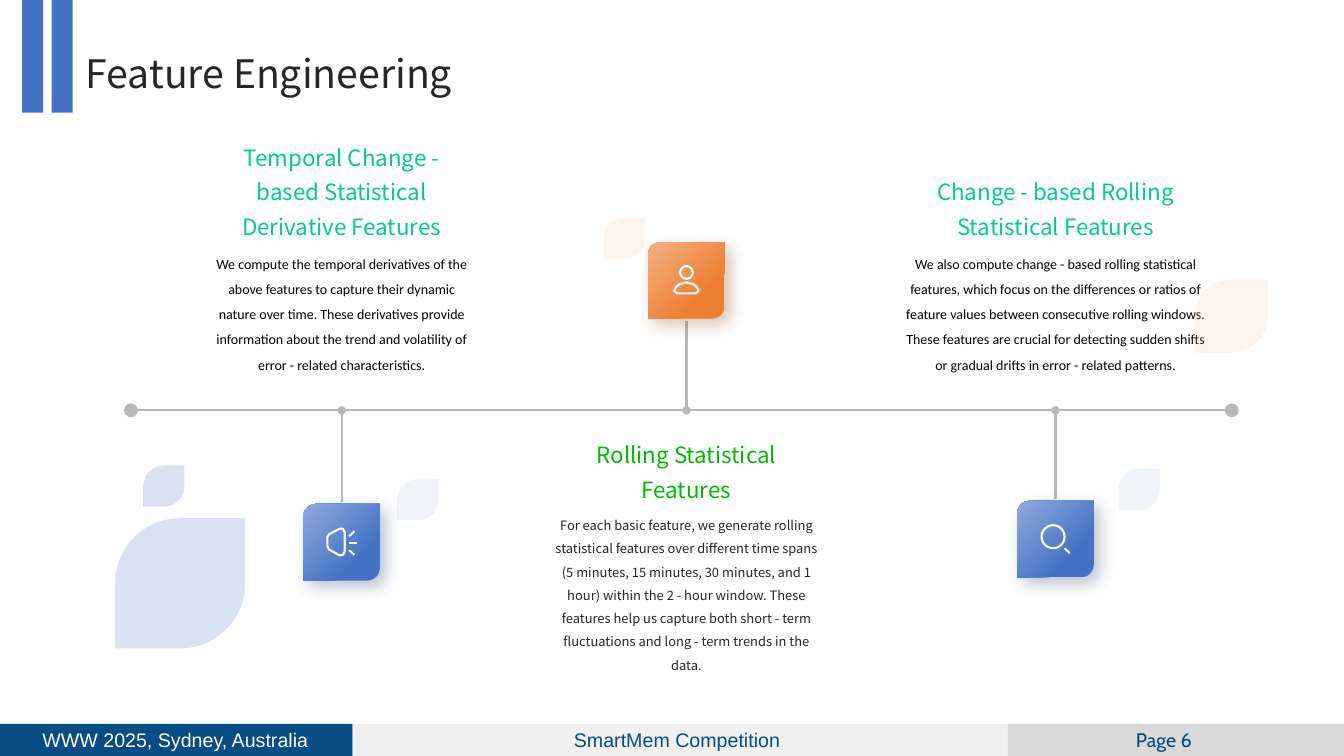
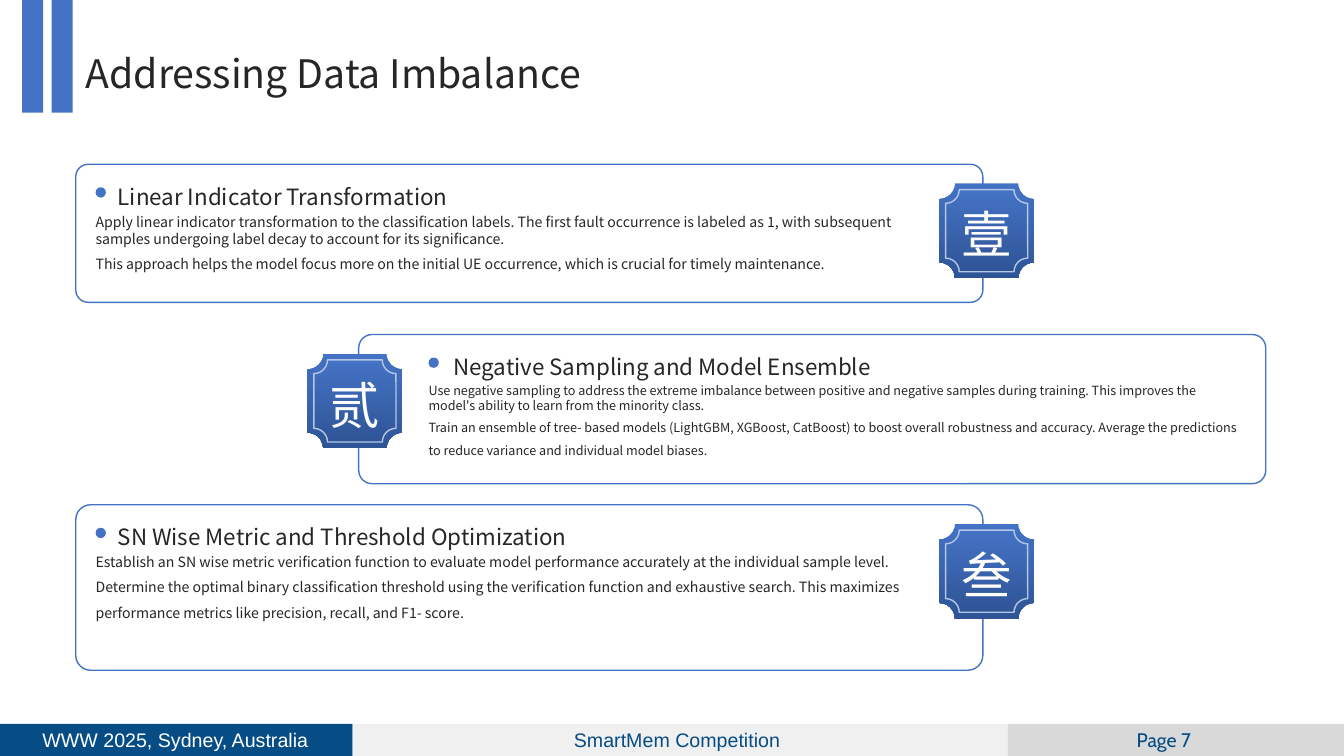
"""Build two slides on feature engineering and data imbalance."""
from dataclasses import dataclass
from typing import Optional, Union

from lxml import etree
from pptx import Presentation
from pptx.dml.color import RGBColor
from pptx.enum.shapes import MSO_CONNECTOR, MSO_SHAPE
from pptx.enum.text import MSO_ANCHOR, MSO_AUTO_SIZE, PP_ALIGN
from pptx.oxml.ns import qn
from pptx.slide import Slide
from pptx.util import Cm, Length, Pt

RECTANGLE, ROUNDED = MSO_SHAPE.RECTANGLE, MSO_SHAPE.ROUNDED_RECTANGLE
LEAF, PLAQUE, OVAL = MSO_SHAPE.ROUND_2_DIAG_RECTANGLE, MSO_SHAPE.PLAQUE, MSO_SHAPE.OVAL
STRAIGHT = MSO_CONNECTOR.STRAIGHT
TOP, MIDDLE, BOTTOM = MSO_ANCHOR.TOP, MSO_ANCHOR.MIDDLE, MSO_ANCHOR.BOTTOM
LEFT, CENTER = PP_ALIGN.LEFT, PP_ALIGN.CENTER
TITLE_ONLY = 5
Point = tuple[float, float]
Spacing = Union[float, Length]


@dataclass(frozen=True)
class Theme:
    """Colours, fonts and type sizes."""
    white: RGBColor = RGBColor(0xFF, 0xFF, 0xFF)
    black: RGBColor = RGBColor(0, 0, 0)
    ink: RGBColor = RGBColor(0x26, 0x26, 0x26)
    navy: RGBColor = RGBColor(0x06, 0x4C, 0x85)
    blue: RGBColor = RGBColor(0x44, 0x72, 0xC4)
    dark_blue: RGBColor = RGBColor(0x2F, 0x55, 0x97)
    soft_blue: RGBColor = RGBColor(0x8F, 0xAA, 0xDC)
    pale_blue: RGBColor = RGBColor(0xB4, 0xC7, 0xE7)
    blue_shadow: RGBColor = RGBColor(0x20, 0x38, 0x64)
    orange: RGBColor = RGBColor(0xED, 0x7D, 0x31)
    soft_orange: RGBColor = RGBColor(0xF4, 0xB1, 0x83)
    pale_orange: RGBColor = RGBColor(0xF8, 0xCB, 0xAD)
    orange_shadow: RGBColor = RGBColor(0x84, 0x3C, 0x0B)
    teal: RGBColor = RGBColor(0x04, 0xC9, 0x91)
    green: RGBColor = RGBColor(0, 0xBA, 0)
    line_gray: RGBColor = RGBColor(0xB8, 0xB8, 0xB8)
    light_gray: RGBColor = RGBColor(0xF0, 0xF0, 0xF0)
    mid_gray: RGBColor = RGBColor(0xD9, 0xD9, 0xD9)
    main_font: str = "Noto Sans CJK SC"
    body_font: str = "Calibri"
    footer_font: str = "Arial"
    page_font: str = "Cabin"
    title_size: float = 28
    heading_size: float = 16
    numeral_size: float = 36
    footer_size: float = 14


THEME = Theme()


@dataclass(frozen=True)
class Style:
    """Look of a text; spacings go paragraph by paragraph."""
    size: float
    color: RGBColor
    font: str = THEME.main_font
    align: PP_ALIGN = LEFT
    spacings: tuple[Spacing, ...] = (1.1,)


@dataclass(frozen=True)
class Band:
    """A footer band and the place of its text."""
    left: float
    width: float
    fill: RGBColor
    text: str
    text_left: float
    text_width: float
    style: Style


@dataclass(frozen=True)
class Icon:
    """Outline icon around a tile centre."""
    outline: tuple[Point, ...] = ()
    strokes: tuple[tuple[Point, Point], ...] = ()
    circle: Optional[tuple[float, float, float]] = None


@dataclass(frozen=True)
class Feature:
    """A timeline stop with tile, heading and body."""
    center: float
    tile_top: float
    text_top: float
    body_width: float
    heading: str
    body: str
    heading_color: RGBColor
    body_style: Style
    tile_colors: tuple[RGBColor, RGBColor, RGBColor]
    icon: Icon


@dataclass(frozen=True)
class Leaf:
    """A translucent decorative leaf."""
    left: float
    top: float
    size: float
    color: RGBColor
    opacity: int


@dataclass(frozen=True)
class Card:
    """A framed strategy with a numeral badge."""
    left: float
    height: float
    badge_left: float
    text_left: float
    title_indent: float
    numeral: str
    title: str
    body: tuple[str, str]
    size: float
    spacings: tuple[Spacing, Spacing]


FOOTER = Style(THEME.footer_size, THEME.navy, THEME.footer_font, CENTER, (1.0,))
FOOTER_LIGHT = Style(THEME.footer_size, THEME.white, THEME.footer_font, CENTER, (1.0,))
PAGE = Style(THEME.footer_size, THEME.navy, THEME.page_font, CENTER, (1.0,))
TITLE = Style(THEME.title_size, THEME.ink)
CARD_TITLE = Style(THEME.heading_size, THEME.ink)
NUMERAL = Style(THEME.numeral_size, THEME.white, THEME.body_font, CENTER)
OUTER_BODY = Style(10, THEME.black, THEME.body_font, CENTER, (1.5,))
INNER_BODY = Style(9.2, THEME.ink, align=CENTER, spacings=(Pt(16.6),))
BLUE_TILE = (THEME.soft_blue, THEME.blue, THEME.blue_shadow)
ORANGE_TILE = (THEME.soft_orange, THEME.orange, THEME.orange_shadow)

BANDS = (
    Band(0, 8.89, THEME.navy, "WWW 2025, Sydney, Australia", 0.61, 7.62, FOOTER_LIGHT),
    Band(8.89, 16.51, THEME.light_gray, "SmartMem Competition", 8.81, 16.51, FOOTER),
    Band(25.4, 8.47, THEME.mid_gray, "Page {page}", 25.52, 7.62, PAGE),
)
SPEAKER = Icon(
    outline=((-0.36, -0.13), (-0.32, -0.2), (-0.05, -0.34), (0.03, -0.34), (0.08, -0.25),
             (0.08, 0.23), (0.03, 0.32), (-0.05, 0.33), (-0.32, 0.18), (-0.36, 0.1)),
    strokes=(((0.19, -0.15), (0.32, -0.28)), ((0.19, 0.03), (0.38, 0.03)),
             ((0.19, 0.2), (0.32, 0.32))))
PERSON = Icon(
    outline=((-0.23, 0.33), (-0.31, 0.27), (-0.27, 0.18), (-0.18, 0.1), (0, 0.05),
             (0.18, 0.1), (0.27, 0.18), (0.31, 0.27), (0.23, 0.33)),
    circle=(0, -0.2, 0.16))
MAGNIFIER = Icon(strokes=(((0.23, 0.23), (0.36, 0.36)),), circle=(-0.06, -0.06, 0.29))

FEATURES = (
    Feature(8.61, 12.7, 3.91, 6.68, "Temporal Change - based Statistical Derivative Features",
            "We compute the temporal derivatives of the above features to capture their dynamic nature over time. These derivatives provide information about the trend and volatility of error - related characteristics.",
            THEME.teal, OUTER_BODY, BLUE_TILE, SPEAKER),
    Feature(17.3, 6.1, 10.54, 6.68, "Rolling Statistical Features",
            "For each basic feature, we generate rolling statistical features over different time spans (5 minutes, 15 minutes, 30 minutes, and 1 hour) within the 2 - hour window. These features help us capture both short - term fluctuations and long - term trends in the data.",
            THEME.green, INNER_BODY, ORANGE_TILE, PERSON),
    Feature(26.6, 12.62, 3.91, 7.85, "Change - based Rolling Statistical Features",
            "We also compute change - based rolling statistical features, which focus on the differences or ratios of feature values between consecutive rolling windows. These features are crucial for detecting sudden shifts or gradual drifts in error - related patterns.",
            THEME.teal, OUTER_BODY, BLUE_TILE, MAGNIFIER),
)
LEAVES = (
    Leaf(2.9, 13.06, 3.28, THEME.pale_blue, 50),
    Leaf(3.61, 11.73, 1.04, THEME.pale_blue, 50),
    Leaf(30.1, 7.04, 1.85, THEME.pale_orange, 20),
    Leaf(15.21, 5.49, 1.04, THEME.pale_orange, 20),
    Leaf(10.01, 12.07, 1.04, THEME.pale_blue, 20),
    Leaf(28.19, 11.81, 1.04, THEME.pale_blue, 20),
)
CARDS = (
    Card(1.91, 3.48, 23.67, 2.41, 0.56, "壹", "Linear Indicator Transformation",
         ("Apply linear indicator transformation to the classification labels. The first fault occurrence is labeled as 1, with subsequent samples undergoing label decay to account for its significance.",
          "This approach helps the model focus more on the initial UE occurrence, which is crucial for timely maintenance."),
         10.1, (Pt(12.6), Pt(18))),
    Card(9.04, 3.76, 7.75, 10.8, 0.63, "贰", "Negative Sampling and Model Ensemble",
         ("Use negative sampling to address the extreme imbalance between positive and negative samples during training. This improves the model's ability to learn from the minority class.",
          "Train an ensemble of tree- based models (LightGBM, XGBoost, CatBoost) to boost overall robustness and accuracy. Average the predictions to reduce variance and individual model biases."),
         9, (Pt(10.8), Pt(16.2))),
    Card(1.91, 4.17, 23.67, 2.41, 0.56, "叁", "SN Wise Metric and Threshold Optimization",
         ("Establish an SN wise metric verification function to evaluate model performance accurately at the individual sample level.",
          "Determine the optimal binary classification threshold using the verification function and exhaustive search. This maximizes performance metrics like precision, recall, and F1- score."),
         10.1, (Pt(12.6), Pt(18))),
)
TIMELINE_LEFT, TIMELINE_RIGHT, TIMELINE_Y = 3.3, 31.04, 10.34
TILE_SIZE, STEM_GAP = 1.93, 0.05
CARD_TOP, CARD_PITCH, CARD_WIDTH = 4.14, 4.29, 22.86
BADGE_SIZE, BADGE_RIM = 2.39, 0.16


def write_text(shape, lines: tuple[str, ...], style: Style, anchor: MSO_ANCHOR,
               inset: Point = (0, 0)) -> None:
    """Fill a shape with styled paragraphs."""
    frame = shape.text_frame
    frame.word_wrap, frame.auto_size, frame.vertical_anchor = True, MSO_AUTO_SIZE.NONE, anchor
    frame.margin_left = frame.margin_right = Cm(inset[0])
    frame.margin_top = frame.margin_bottom = Cm(inset[1])
    frame.text = "\n".join(lines)
    for paragraph, spacing in zip(frame.paragraphs, style.spacings):
        paragraph.alignment, paragraph.line_spacing = style.align, spacing
        paragraph.space_before = paragraph.space_after = Pt(0)
        for run in paragraph.runs:
            run.font.name, run.font.size = style.font, Pt(style.size)
            run.font.color.rgb = style.color
            east_asian = etree.SubElement(run.font._element, qn("a:ea"))
            east_asian.set("typeface", THEME.main_font)


def add_text(slide: Slide, left: float, top: float, width: float, height: float,
             lines: tuple[str, ...], style: Style, anchor: MSO_ANCHOR = TOP,
             inset: Point = (0, 0)) -> None:
    """Add a text box."""
    box = slide.shapes.add_textbox(Cm(left), Cm(top), Cm(width), Cm(height))
    write_text(box, lines, style, anchor, inset)


def paint(shape, fill: Optional[RGBColor], line: Optional[RGBColor], width: float = 1) -> None:
    """Set plain fill and line, and drop the shadow."""
    shape.shadow.inherit = False
    if fill is None:
        shape.fill.background()
    else:
        shape.fill.solid()
        shape.fill.fore_color.rgb = fill
    if line is None:
        shape.line.fill.background()
    else:
        shape.line.color.rgb, shape.line.width = line, Pt(width)


def add_shape(slide: Slide, kind: MSO_SHAPE, left: float, top: float, width: float, height: float,
              fill: Optional[RGBColor] = None, line: Optional[RGBColor] = None, weight: float = 1):
    """Add a preset shape."""
    shape = slide.shapes.add_shape(kind, Cm(left), Cm(top), Cm(width), Cm(height))
    paint(shape, fill, line, weight)
    return shape


def set_gradient(shape, start: RGBColor, end: RGBColor, end_position: float = 1.0) -> None:
    """Give a shape a gradient running downwards."""
    shape.fill.gradient()
    shape.fill.gradient_angle = 270
    for stop, color, position in zip(shape.fill.gradient_stops, (start, end), (0, end_position)):
        stop.color.rgb, stop.position = color, position


def set_opacity(color_element, percent: int) -> None:
    """Add an alpha value to a colour element."""
    etree.SubElement(color_element, qn("a:alpha")).set("val", str(percent * 1000))


def add_line(slide: Slide, start: Point, end: Point, color: RGBColor,
             dots: tuple[str, ...] = (), dot_size: str = "med") -> None:
    """Add a straight line with oval ends where named."""
    line = slide.shapes.add_connector(STRAIGHT, *(Cm(value) for value in start + end))
    line.line.color.rgb, line.line.width = color, Pt(1.5)
    properties = line.element.spPr
    for dot in dots:
        etree.SubElement(properties.find(qn("a:ln")), qn(f"a:{dot}"),
                         {"type": "oval", "w": dot_size, "len": dot_size})
    etree.SubElement(properties, qn("a:effectLst"))


def add_icon(slide: Slide, icon: Icon, x: float, y: float) -> None:
    """Draw a white outline icon centred on a point."""
    if icon.outline:
        points = [(Cm(x + dx), Cm(y + dy)) for dx, dy in icon.outline]
        builder = slide.shapes.build_freeform(*points[0])
        builder.add_line_segments(points[1:], close=True)
        paint(builder.convert_to_shape(), None, THEME.white, 1.5)
    for (x1, y1), (x2, y2) in icon.strokes:
        add_line(slide, (x + x1, y + y1), (x + x2, y + y2), THEME.white)
    if icon.circle:
        dx, dy, radius = icon.circle
        add_shape(slide, OVAL, x + dx - radius, y + dy - radius, 2 * radius, 2 * radius,
                  line=THEME.white, weight=1.5)


def add_tile(slide: Slide, feature: Feature) -> None:
    """Draw a glowing tile with its icon."""
    start, end, shadow = feature.tile_colors
    tile = add_shape(slide, LEAF, feature.center - TILE_SIZE / 2, feature.tile_top,
                     TILE_SIZE, TILE_SIZE)
    set_gradient(tile, start, end, 0.73)
    properties = tile.element.spPr
    gradient = properties.find(qn("a:gradFill"))
    gradient.remove(gradient.find(qn("a:lin")))
    radial = etree.SubElement(gradient, qn("a:path"), {"path": "circle"})
    etree.SubElement(radial, qn("a:fillToRect"), {"r": "100000", "b": "100000"})
    outer = etree.SubElement(properties.find(qn("a:effectLst")), qn("a:outerShdw"), {
        "blurRad": str(Pt(12)), "dist": str(Pt(6)), "dir": "2700000", "algn": "tl"})
    set_opacity(etree.SubElement(outer, qn("a:srgbClr"), {"val": str(shadow)}), 30)
    add_icon(slide, feature.icon, feature.center, feature.tile_top + TILE_SIZE / 2)


def add_feature(slide: Slide, feature: Feature) -> None:
    """Draw one timeline stop."""
    above = feature.tile_top < TIMELINE_Y
    stem = feature.tile_top + TILE_SIZE + STEM_GAP if above else feature.tile_top - STEM_GAP
    add_line(slide, (feature.center, stem), (feature.center, TIMELINE_Y), THEME.line_gray, ("tailEnd",))
    add_tile(slide, feature)
    heading = Style(THEME.heading_size, feature.heading_color, align=CENTER, spacings=(Pt(24.6),))
    add_text(slide, feature.center - 3.34, feature.text_top, 6.68, 2.26, (feature.heading,),
             heading, BOTTOM, (0.25, 0.13))
    add_text(slide, feature.center - feature.body_width / 2, feature.text_top + 2.31,
             feature.body_width, 3.56, (feature.body,), feature.body_style)


def add_leaf(slide: Slide, leaf: Leaf) -> None:
    """Draw one translucent leaf."""
    shape = add_shape(slide, LEAF, leaf.left, leaf.top, leaf.size, leaf.size, leaf.color)
    shape.adjustments[0] = 0.5
    set_opacity(shape.element.spPr.find(qn("a:solidFill"))[0], leaf.opacity)


def add_card(slide: Slide, card: Card, top: float) -> None:
    """Draw one strategy card."""
    frame = add_shape(slide, ROUNDED, card.left, top, CARD_WIDTH, card.height, line=THEME.blue)
    frame.adjustments[0] = 0.09
    for rim, line in ((0, None), (BADGE_RIM, THEME.pale_blue)):
        size = BADGE_SIZE - 2 * rim
        badge = add_shape(slide, PLAQUE, card.badge_left + rim, top + 0.48 + rim, size, size, line=line)
        set_gradient(badge, THEME.blue, THEME.dark_blue)
    write_text(badge, (card.numeral,), NUMERAL, MIDDLE)
    add_shape(slide, OVAL, card.text_left, top + 0.58, 0.26, 0.26, THEME.blue)
    add_text(slide, card.text_left + card.title_indent, top + 0.37, 19.8, 0.81, (card.title,),
             CARD_TITLE, MIDDLE)
    add_text(slide, card.text_left, top + 1.21, 20.5, 1.91, card.body,
             Style(card.size, THEME.ink, spacings=card.spacings))


def add_base(presentation, title: str, page: int) -> Slide:
    """Add a slide with footer, title and corner bars."""
    slide = presentation.slides.add_slide(presentation.slide_layouts[TITLE_ONLY])
    for band in BANDS:
        add_shape(slide, RECTANGLE, band.left, 18.24, band.width, 0.81, band.fill)
        add_text(slide, band.text_left, 18.14, band.text_width, 1.02,
                 (band.text.format(page=page),), band.style, MIDDLE)
    holder = slide.shapes.title
    holder.left, holder.top, holder.width, holder.height = Cm(2.16), Cm(1.12), Cm(29.64), Cm(1.3)
    write_text(holder, (title,), TITLE, MIDDLE)
    for left in (0.56, 1.3):
        add_shape(slide, RECTANGLE, left, 0, 0.53, 2.84, THEME.blue)
    return slide


def main() -> None:
    """Build and save the presentation."""
    presentation = Presentation()
    presentation.slide_width, presentation.slide_height = Cm(33.87), Cm(19.05)
    slide = add_base(presentation, "Feature Engineering", 6)
    add_line(slide, (TIMELINE_LEFT, TIMELINE_Y), (TIMELINE_RIGHT, TIMELINE_Y), THEME.line_gray,
             ("headEnd", "tailEnd"), "lg")
    for feature in FEATURES:
        add_feature(slide, feature)
    for leaf in LEAVES:
        add_leaf(slide, leaf)
    slide = add_base(presentation, "Addressing Data Imbalance", 7)
    for index, card in enumerate(CARDS):
        add_card(slide, card, CARD_TOP + index * CARD_PITCH)
    presentation.save("out.pptx")


if __name__ == "__main__":
    main()
